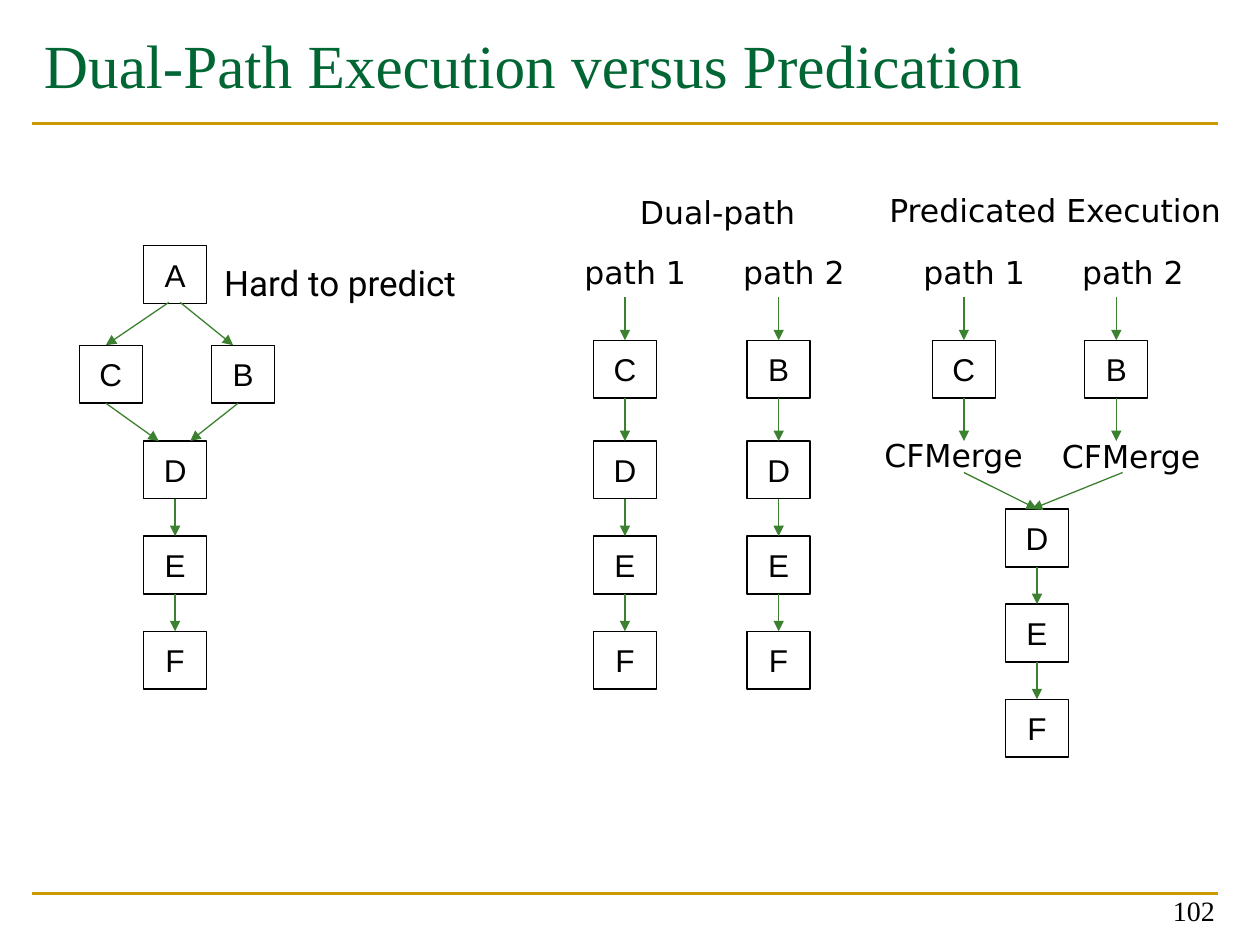
"""Build the slide comparing dual-path execution with predication."""
from lxml import etree
from pptx import Presentation
from pptx.dml.color import RGBColor
from pptx.enum import shapes, text
from pptx.oxml import ns
from pptx.util import Inches, Pt

BLACK = RGBColor(0x00, 0x00, 0x00)
TITLE_GREEN = RGBColor(0x00, 0x66, 0x33)
ARROW_GREEN = RGBColor(0x3B, 0x81, 0x2F)
GOLD = RGBColor(0xCC, 0x99, 0x00)

deck = Presentation()
deck.slide_width, deck.slide_height = Inches(10), Inches(7.5)
slide = deck.slides.add_slide(deck.slide_layouts[6])


def write(shape, words, size, font, color=BLACK, wrap=False,
          anchor=text.MSO_ANCHOR.TOP, align=text.PP_ALIGN.LEFT):
    frame = shape.text_frame
    frame.word_wrap = wrap
    frame.vertical_anchor = anchor
    paragraph = frame.paragraphs[0]
    paragraph.alignment = align
    run = paragraph.add_run()
    run.text = words
    run.font.size = Pt(size)
    run.font.name = font
    run.font.color.rgb = color


def draw_line(x1, y1, x2, y2, color=ARROW_GREEN, width=0.75, arrow=True):
    line = slide.shapes.add_connector(
        shapes.MSO_CONNECTOR.STRAIGHT, Inches(x1), Inches(y1), Inches(x2), Inches(y2))
    line.line.color.rgb = color
    line.line.width = Pt(width)
    if arrow:
        etree.SubElement(line.line._get_or_add_ln(), ns.qn("a:tailEnd"), type="triangle")
    etree.SubElement(line._element.spPr, ns.qn("a:effectLst"))


for rule_y in (7.09, 0.98):
    draw_line(0.25, rule_y, 9.67, rule_y, GOLD, 1.5, arrow=False)

title = slide.shapes.add_textbox(Inches(0.25), Inches(0.17), Inches(9.75), Inches(1.17))
write(title, "Dual-Path Execution versus Predication", 35, "Times New Roman",
      TITLE_GREEN, wrap=True)
number = slide.shapes.add_textbox(Inches(7.41), Inches(6.91), Inches(2.33), Inches(0.5))
write(number, "102", 16, "Times New Roman", wrap=True,
      anchor=text.MSO_ANCHOR.BOTTOM, align=text.PP_ALIGN.RIGHT)
branch_note = slide.shapes.add_textbox(Inches(1.68), Inches(2.03), Inches(2.82), Inches(0.49))
write(branch_note, "Hard to predict", 20, "Roboto", wrap=True)

captions = [("Dual-path", 4.98, 1.48, 1.45), ("Predicated Execution", 6.96, 1.47, 2.85),
            ("CFMerge", 6.92, 3.41, 1.3), ("CFMerge", 8.33, 3.42, 1.3)]
for group_left in (4.54, 7.23):
    captions += [("path 1", group_left, 1.96, 1.08),
                 ("path 2", group_left + 1.26, 1.96, 1.1)]
for words, left, top, width in captions:
    caption = slide.shapes.add_textbox(Inches(left), Inches(top), Inches(width), Inches(0.4))
    write(caption, words, 18, "DejaVu Sans")

BLOCK_W, BLOCK_H, STEP = 0.5, 0.46, 0.755
blocks = [("A", 1.14, 1.95), ("C", 0.63, 2.74), ("B", 1.68, 2.74)]
arrows = [(1.34, 2.4, 0.84, 2.74), (1.43, 2.4, 1.85, 2.74),
          (0.84, 3.2, 1.26, 3.5), (1.89, 3.2, 1.51, 3.5),
          (7.65, 3.75, 8.23, 4.04), (8.91, 3.75, 8.19, 4.04)]

for left, first_top in ((1.14, 3.5), (4.71, 3.5), (5.93, 3.5), (7.98, 4.04)):
    middle = left + BLOCK_W / 2
    for row, name in enumerate("DEF"):
        top = first_top + row * STEP
        blocks.append((name, left, top))
        if row:
            arrows.append((middle, top - STEP + BLOCK_H, middle, top))

for name, left in (("C", 4.71), ("B", 5.93), ("C", 7.4), ("B", 8.61)):
    middle = left + BLOCK_W / 2
    blocks.append((name, left, 2.7))
    arrows += [(middle, 2.36, middle, 2.7), (middle, 3.16, middle, 3.5)]

for name, left, top in blocks:
    block = slide.shapes.add_shape(
        shapes.MSO_SHAPE.RECTANGLE, Inches(left), Inches(top), Inches(BLOCK_W), Inches(BLOCK_H))
    block.shadow.inherit = False
    block.fill.background()
    block.line.color.rgb = BLACK
    block.line.width = Pt(0.75)
    write(block, name, 18, "Arial", anchor=text.MSO_ANCHOR.MIDDLE, align=text.PP_ALIGN.CENTER)

for ends in arrows:
    draw_line(*ends)

deck.save("out.pptx")
